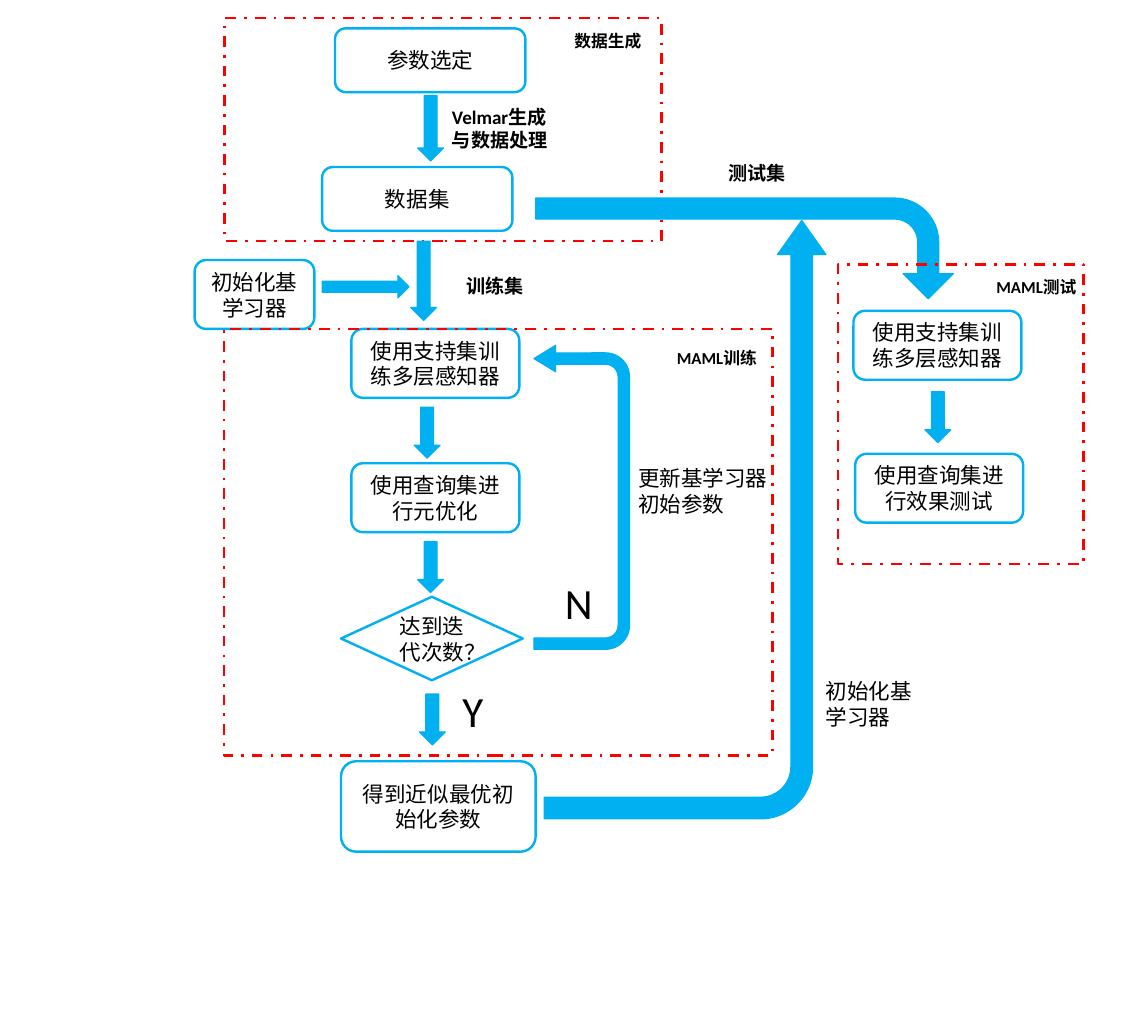
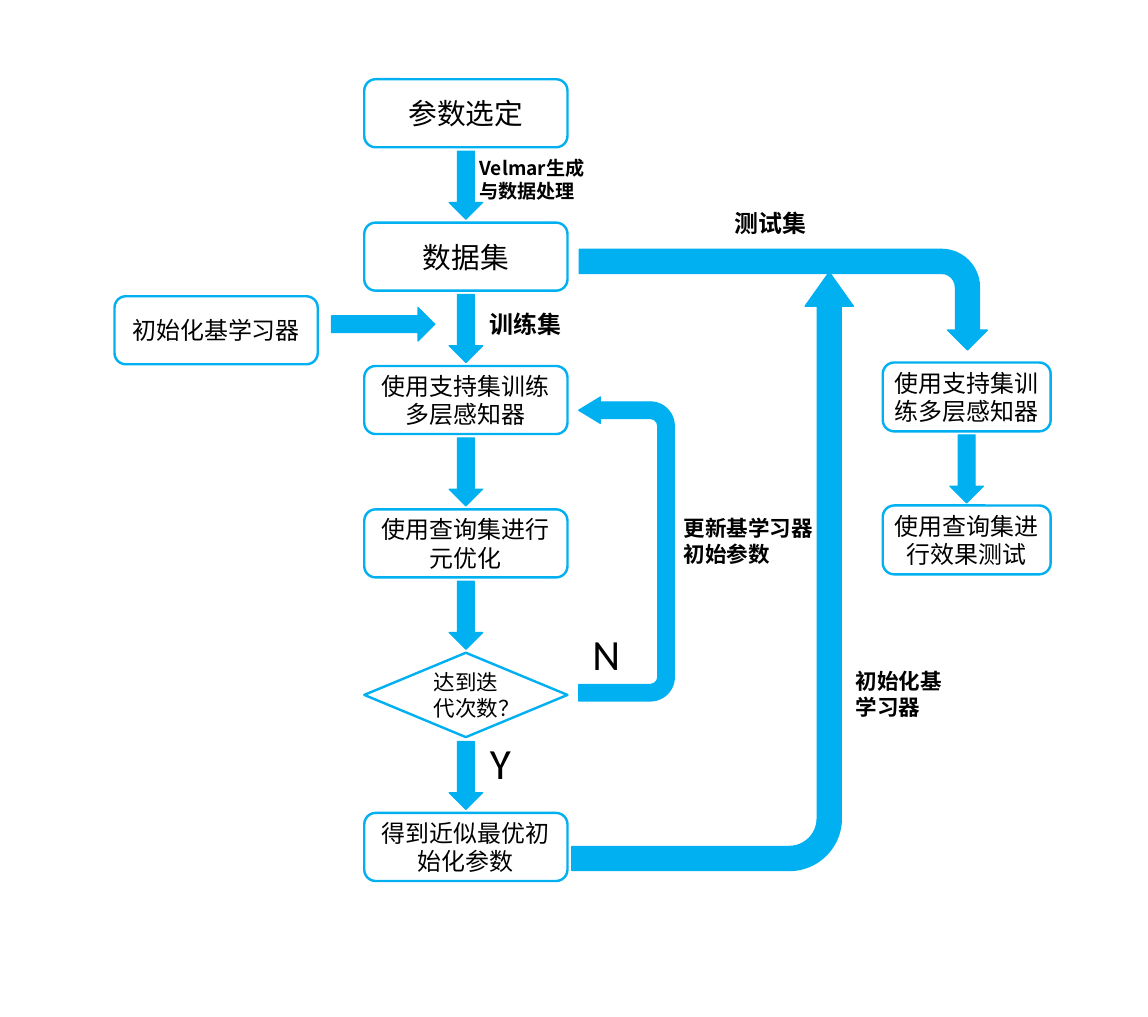
from lxml.etree import SubElement
from pptx import Presentation
from pptx.dml.color import RGBColor
from pptx.enum.dml import MSO_LINE
from pptx.enum.shapes import MSO_SHAPE as SHAPE
from pptx.enum.text import MSO_ANCHOR, MSO_AUTO_SIZE, PP_ALIGN
from pptx.oxml.ns import qn
from pptx.util import Inches, Pt

# Shared look
BLUE, RED, WHITE, BLACK = "00B0F0", "FF0000", "FFFFFF", "000000"
LATIN, CJK = "Calibri", "Noto Sans CJK SC"
BOX_LINE, ARROW_LINE, FRAME_LINE = 2, 1, 2.25
BLANK_LAYOUT = 6

# Wording used on both slides
SELECT, DATASET, INIT_LEARNER = "参数选定", "数据集", "初始化基学习器"
TRAIN_SUPPORT, META_OPTIMISE = "使用支持集训练多层感知器", "使用查询集进行元优化"
QUERY_TEST, DECISION = "使用查询集进行效果测试", "达到迭代次数？"
RESULT, UPDATE = "得到近似最优初始化参数", "更新基学习器初始参数"
GENERATE, TRAIN_SET, TEST_SET = "Velmar生成与数据处理", "训练集", "测试集"


def set_attributes(target, values):
    for name, value in values.items():
        setattr(target, name, value)


def colour(value):
    return RGBColor.from_string(value)


def inches(place):
    return [Inches(length) for length in place]


def write(shape, text, size, font, bold=False, align=None):
    paragraph = shape.text_frame.paragraphs[0]
    paragraph.alignment = align
    run = paragraph.add_run()
    run.text = text
    set_attributes(run.font, {"size": Pt(size), "bold": bold, "name": font})
    run.font.color.rgb = colour(BLACK)
    east_asian = SubElement(run.font._element, qn("a:ea"))
    east_asian.set("typeface", CJK)


def add_outline(shapes, kind, place, line, width, fill=None):
    shape = shapes.add_shape(kind, *inches(place))
    shape.shadow.inherit = False
    if fill:
        shape.fill.solid()
        shape.fill.fore_color.rgb = colour(fill)
    else:
        shape.fill.background()
    shape.line.color.rgb = colour(line)
    shape.line.width = Pt(width)
    return shape


def add_box(shapes, text, place, size=18, font=CJK, kind=SHAPE.ROUNDED_RECTANGLE):
    box = add_outline(shapes, kind, place, BLUE, BOX_LINE, WHITE)
    box.text_frame.vertical_anchor = MSO_ANCHOR.MIDDLE
    write(box, text, size, font, align=PP_ALIGN.CENTER)


def add_arrow(shapes, place, kind=SHAPE.DOWN_ARROW, rotation=0, flip=None, adjust=()):
    arrow = add_outline(shapes, kind, place, BLUE, ARROW_LINE, BLUE)
    arrow.rotation = rotation
    for index, value in enumerate(adjust):
        arrow.adjustments[index] = value
    if flip:
        arrow._element.spPr.find(qn("a:xfrm")).set(flip, "1")


def add_loop_arrow(shapes, place, shaft):
    """Arrow from the decision back to the training step."""
    add_arrow(shapes, place, SHAPE.U_TURN_ARROW, 90, "flipH",
              (shaft, 0.138, 0.226, 0.251, 1))


def add_test_arrow(shapes, place, adjust):
    """Arrow from the data set right and down to the test branch."""
    add_arrow(shapes, place, SHAPE.BENT_ARROW, 90, None, adjust)


def add_result_arrow(shapes, place, shaft):
    """Arrow from the result right and up to the test branch."""
    add_arrow(shapes, place, SHAPE.BENT_ARROW, 270, "flipV",
              (shaft, 0.086, 0.121, 0.185))


def add_label(shapes, text, place, size, font=LATIN, bold=True):
    label = shapes.add_textbox(*inches(place))
    set_attributes(label.text_frame, {
        "word_wrap": True, "auto_size": MSO_AUTO_SIZE.SHAPE_TO_FIT_TEXT})
    write(label, text, size, font, bold)


def add_branch_letters(shapes, yes, no):
    for letter, corner in (("Y", yes), ("N", no)):
        add_label(shapes, letter, (*corner, 0.78, 0.71), 36, bold=False)


def add_frame(shapes, place, title, title_corner):
    frame = add_outline(shapes, SHAPE.RECTANGLE, place, RED, FRAME_LINE)
    frame.line.dash_style = MSO_LINE.DASH_DOT
    add_label(shapes, title, (*title_corner, 2.22, 0.34), 14)


def build_framed_flow(shapes):
    add_frame(shapes, (2.61, 0.21, 5.07, 2.59), "数据生成", (6.57, 0.31))

    # Arrows
    for left, top, height in ((4.85, 1.11, 0.76), (4.77, 2.8, 0.92),
                              (4.81, 4.73, 0.59), (4.85, 6.29, 0.59),
                              (4.87, 8.06, 0.59), (10.74, 4.55, 0.59)):
        add_arrow(shapes, (left, top, 0.3, height))
    add_arrow(shapes, (3.74, 3.2, 1.01, 0.26), SHAPE.RIGHT_ARROW)
    add_loop_arrow(shapes, (4.99, 5.22, 3.53, 1.11), 0.119)
    add_test_arrow(shapes, (8.06, 0.46, 1.17, 4.85), (0.209, 0.25, 0.25, 0.438))
    add_result_arrow(shapes, (4.48, 4.4, 6.95, 3.27), 0.077)

    # Steps
    for text, left, top in ((SELECT, 3.89, 0.33), (DATASET, 3.74, 1.94)):
        add_box(shapes, text, (left, top, 2.21, 0.74), font=LATIN)
    for text, left, top in ((TRAIN_SUPPORT, 4.08, 3.82), (META_OPTIMISE, 4.08, 5.38),
                            (TRAIN_SUPPORT, 9.91, 3.61), (QUERY_TEST, 9.93, 5.27)):
        add_box(shapes, text, (left, top, 1.95, 0.8))
    add_box(shapes, INIT_LEARNER, (2.26, 3.02, 1.39, 0.8))
    add_box(shapes, DECISION, (3.96, 6.93, 2.11, 0.97), font=LATIN, kind=SHAPE.DIAMOND)
    add_box(shapes, RESULT, (3.96, 8.84, 2.26, 1.05))

    # Labels
    add_label(shapes, GENERATE, (5.15, 1.17, 1.47, 0.64), 16)
    add_label(shapes, TEST_SET, (8.36, 1.82, 1.47, 0.37), 16)
    add_label(shapes, TRAIN_SET, (5.32, 3.14, 1.47, 0.37), 16)
    add_label(shapes, UPDATE, (7.31, 5.35, 1.79, 0.71), 18, bold=False)
    add_label(shapes, INIT_LEARNER, (9.49, 7.82, 1.25, 0.71), 18, bold=False)
    add_branch_letters(shapes, yes=(5.27, 7.9), no=(6.46, 6.65))

    # Frames over the flow
    add_frame(shapes, (2.6, 3.82, 6.37, 4.95), "MAML训练", (7.76, 3.99))
    add_frame(shapes, (9.73, 3.07, 2.85, 3.48), "MAML测试", (11.47, 3.17))


def build_plain_flow(shapes):
    left, width, height = 4.23, 2.36, 0.79
    first_top, pitch, result_top = 0.92, 1.665, 9.44
    arrow_width, arrow_rise = 0.39, 0.83

    # Main column: each step after the first has an arrow above it
    steps = ((SELECT, 24), (DATASET, 24), (TRAIN_SUPPORT, 20),
             (META_OPTIMISE, 20), (DECISION, 18), (RESULT, 20))
    for index, (text, size) in enumerate(steps):
        top = result_top if text == RESULT else first_top + index * pitch
        if index:
            add_arrow(shapes, (left + (width - arrow_width) / 2, top - arrow_rise,
                               arrow_width, height))
        if text == DECISION:
            add_box(shapes, text, (left, top, width, 0.98), size, kind=SHAPE.DIAMOND)
        else:
            add_box(shapes, text, (left, top, width, height), size)

    # Side steps
    add_box(shapes, INIT_LEARNER, (1.33, 3.44, width, height), 20)
    for text, top in ((TRAIN_SUPPORT, 4.21), (QUERY_TEST, 5.87)):
        add_box(shapes, text, (10.25, top, 1.95, 0.8), 20)

    # Side arrows
    add_arrow(shapes, (11.03, 5.05, arrow_width, height))
    add_arrow(shapes, (3.85, 3.57, 1.2, 0.39), SHAPE.RIGHT_ARROW)
    add_loop_arrow(shapes, (5.51, 5.82, 3.53, 1.11), 0.173)
    add_test_arrow(shapes, (8.51, 1.11, 1.17, 4.74), (0.24, 0.198, 0.198, 0.377))
    add_result_arrow(shapes, (4.8, 5, 6.95, 3.27), 0.086)

    # Labels
    for text, place, size in ((GENERATE, (5.47, 1.77, 1.47, 0.64), 16),
                              (TEST_SET, (8.43, 2.37, 1.47, 0.44), 20),
                              (TRAIN_SET, (5.59, 3.55, 1.47, 0.44), 20),
                              (UPDATE, (7.84, 5.93, 1.79, 0.71), 18),
                              (INIT_LEARNER, (9.84, 7.71, 1.25, 0.71), 18)):
        add_label(shapes, text, place, size, CJK)
    add_branch_letters(shapes, yes=(5.59, 8.5), no=(6.78, 7.24))


def main():
    presentation = Presentation()
    set_attributes(presentation, {"slide_width": Inches(13.33),
                                  "slide_height": Inches(11.81)})
    layout = presentation.slide_layouts[BLANK_LAYOUT]
    build_framed_flow(presentation.slides.add_slide(layout).shapes)
    flow_group = presentation.slides.add_slide(layout).shapes.add_group_shape()
    build_plain_flow(flow_group.shapes)
    presentation.save("out.pptx")


if __name__ == "__main__":
    main()
